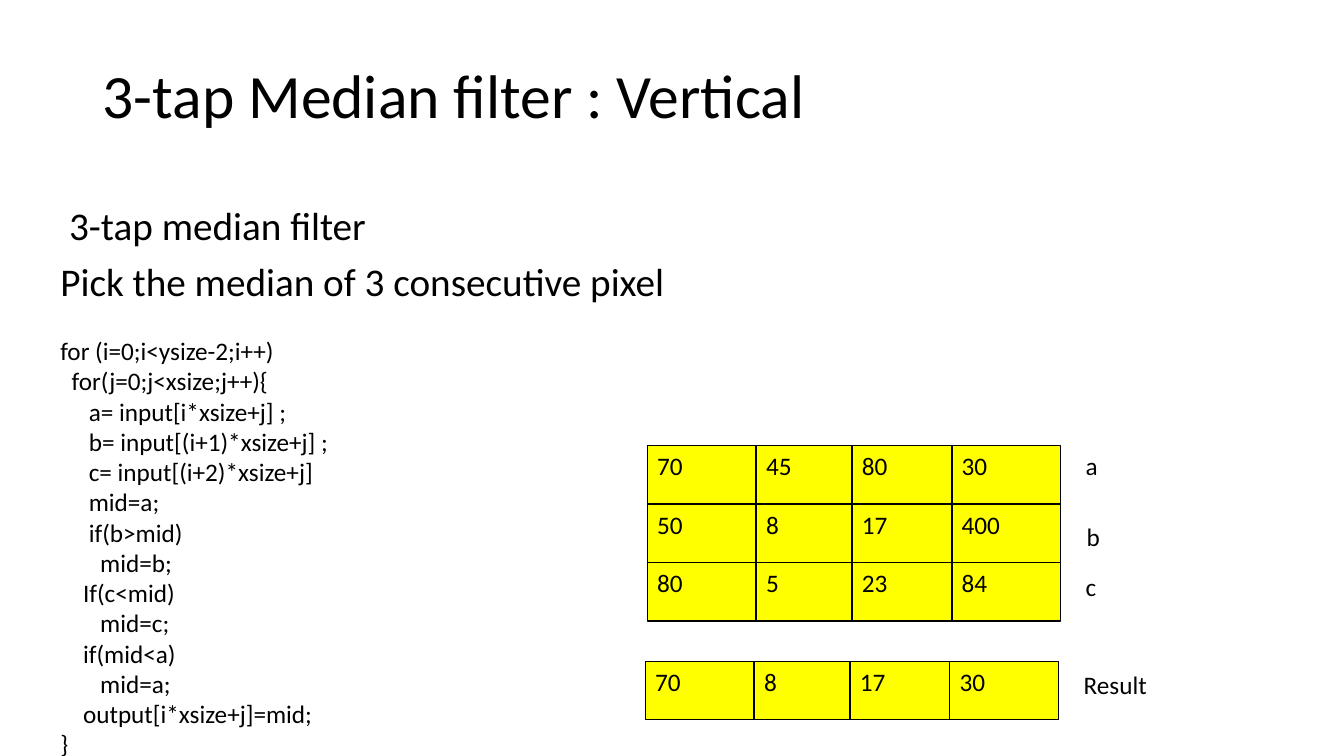
from pptx import Presentation
from pptx.dml.color import RGBColor
from pptx.enum.shapes import MSO_SHAPE
from pptx.enum.text import MSO_ANCHOR, MSO_AUTO_SIZE, PP_ALIGN
from pptx.util import Pt

EMU_PER_PX = 9144  # 100 px to the inch
RECTANGLE = MSO_SHAPE.RECTANGLE
TOP, MIDDLE = MSO_ANCHOR.TOP, MSO_ANCHOR.MIDDLE
GROW, FIXED = MSO_AUTO_SIZE.SHAPE_TO_FIT_TEXT, MSO_AUTO_SIZE.NONE
LEFT = PP_ALIGN.LEFT

COLORS = {"text": "000000", "pixel": "FFFF00", "border": "000000"}
FONT = "Calibri"
TITLE_SIZE, BODY_SIZE, CODE_SIZE = 44, 28, 18
SPACE_EM = 0.226  # width of one character of indent

COLUMNS = [(0, 108), (108, 95), (203, 108), (302, 108)]  # offset, width
ROW_HEIGHT = 58
INPUT_ROWS = [(70, 45, 80, 30), (50, 8, 17, 400), (80, 5, 23, 84)]
RESULT_ROWS = [(70, 8, 17, 30)]
ROW_LABELS = [
    ("a", 1067, 442, 32),
    ("b", 1068, 512, 34),
    ("c", 1067, 562, 31),
    ("Result", 1065, 659, 83),
]

BODY = [(1, "3-tap median filter"), (0, "Pick the median of 3 consecutive pixel")]
CODE = [  # characters of indent, statement
    (0, "for (i=0;i<ysize-2;i++)"),
    (2, "for(j=0;j<xsize;j++){"),
    (5, "a= input[i*xsize+j] ;"),
    (5, "b= input[(i+1)*xsize+j] ;"),
    (5, "c= input[(i+2)*xsize+j]"),
    (5, "mid=a;"),
    (5, "if(b>mid)"),
    (7, "mid=b;"),
    (4, "If(c<mid)"),
    (7, "mid=c;"),
    (4, "if(mid<a)"),
    (7, "mid=a;"),
    (4, "output[i*xsize+j]=mid;"),
    (0, "}"),
]


def px(length):
    return length * EMU_PER_PX


def rgb(name):
    return RGBColor.from_string(COLORS[name])


def set_attributes(target, values):
    for name, value in values.items():
        setattr(target, name, value)


def write_lines(frame, lines, size, frame_format=None, line_format=None):
    """Fill a text frame with (characters of indent, text) lines."""
    set_attributes(frame, {
        "word_wrap": True, "auto_size": FIXED, "vertical_anchor": TOP,
        "margin_left": px(10), "margin_right": px(10),
        "margin_top": px(5), "margin_bottom": px(5),
        **(frame_format or {}),
    })
    for number, (indent, text) in enumerate(lines):
        paragraph = frame.add_paragraph() if number else frame.paragraphs[0]
        set_attributes(paragraph, {"alignment": LEFT, **(line_format or {})})
        if indent:
            margin = Pt(indent * SPACE_EM * size)
            paragraph._p.get_or_add_pPr().set("marL", str(margin))
        run = paragraph.add_run()
        run.text = text
        set_attributes(run.font, {"name": FONT, "size": Pt(size)})
        run.font.color.rgb = rgb("text")


def add_text(slide, box, lines, size, frame_format=None, line_format=None):
    textbox = slide.shapes.add_textbox(*map(px, box))
    write_lines(textbox.text_frame, lines, size, frame_format, line_format)


def add_pixel(slide, box, value):
    pixel = slide.shapes.add_shape(RECTANGLE, *map(px, box))
    pixel.shadow.inherit = False
    pixel.fill.solid()
    pixel.fill.fore_color.rgb = rgb("pixel")
    pixel.line.color.rgb = rgb("border")
    pixel.line.width = Pt(1)
    write_lines(pixel.text_frame, [(0, str(value))], CODE_SIZE)


def add_pixel_grid(slide, left, top, rows):
    for row, values in enumerate(rows):
        for (offset, width), value in zip(COLUMNS, values):
            box = (left + offset, top + row * ROW_HEIGHT, width, ROW_HEIGHT)
            add_pixel(slide, box, value)


def main():
    presentation = Presentation()
    presentation.slide_width, presentation.slide_height = px(1333), px(750)
    slide = presentation.slides.add_slide(presentation.slide_layouts[6])

    add_text(slide, (92, 25, 1150, 145), [(0, "3-tap Median filter : Vertical")],
             TITLE_SIZE, {"vertical_anchor": MIDDLE}, {"line_spacing": 0.9})
    add_text(slide, (50, 200, 1192, 476), BODY, BODY_SIZE,
             line_format={"line_spacing": 0.9, "space_before": Pt(10)})
    add_text(slide, (50, 328, 292, 464), CODE, CODE_SIZE, {"auto_size": GROW})

    add_pixel_grid(slide, 642, 442, INPUT_ROWS)
    add_pixel_grid(slide, 640, 656, RESULT_ROWS)
    for label, left, top, width in ROW_LABELS:
        add_text(slide, (left, top, width, 40), [(0, label)], CODE_SIZE,
                 {"word_wrap": False, "auto_size": GROW})

    presentation.save("out.pptx")


if __name__ == "__main__":
    main()
